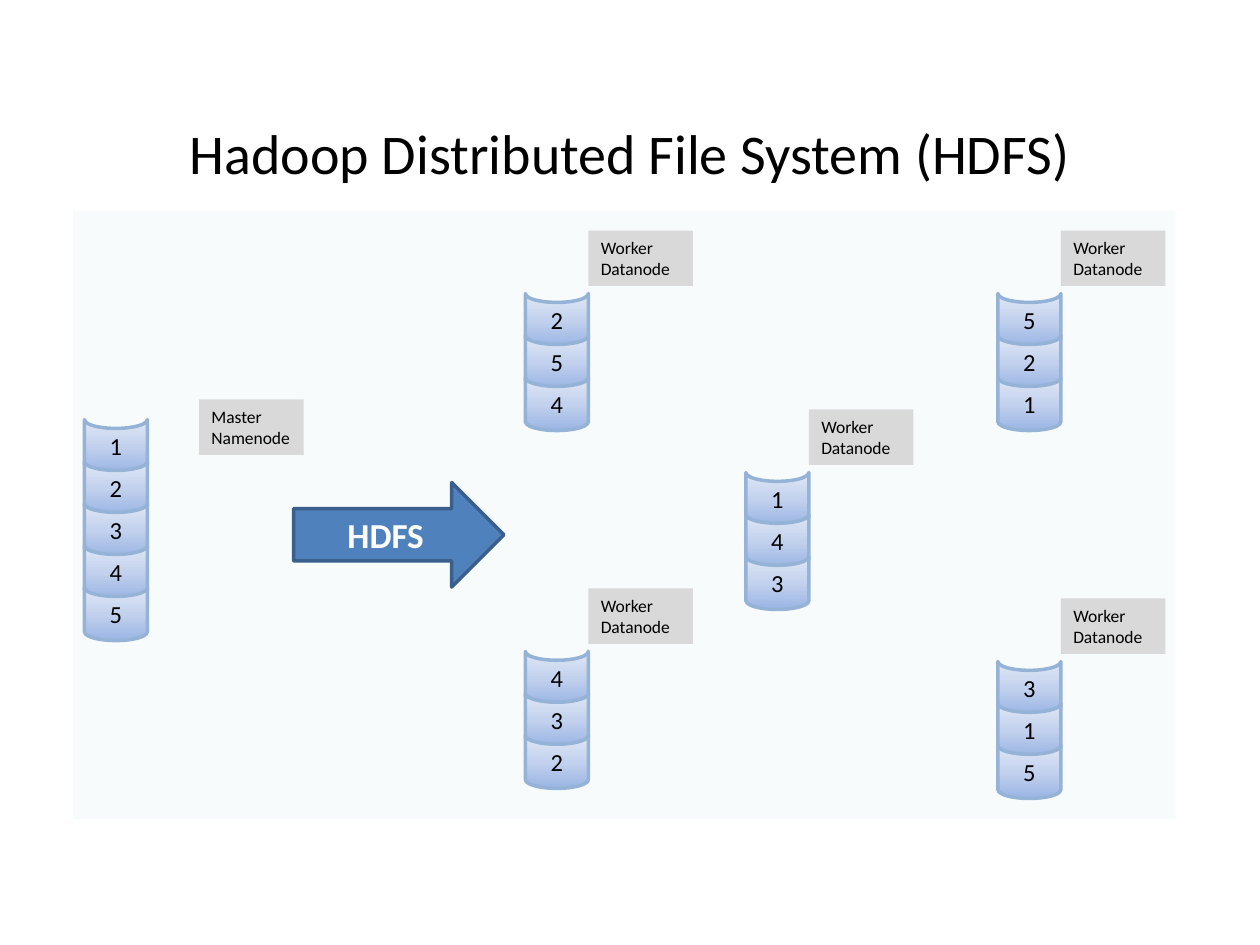
from copy import deepcopy

from pptx import Presentation
from pptx.dml.color import RGBColor
from pptx.enum.shapes import MSO_SHAPE
from pptx.enum.text import MSO_ANCHOR, MSO_AUTO_SIZE, PP_ALIGN
from pptx.oxml.ns import qn
from pptx.util import Inches, Pt
from lxml.etree import SubElement

# Content: left and top of each stack's first block, and the block numbers
TITLE = "Hadoop Distributed File System (HDFS)"
FLOW = "HDFS"
MASTER = (0.71, 3.29, "12345")
MASTER_TAG = "Master\nNamenode"
WORKERS = [
    (4.21, 2.29, "254"),
    (7.96, 2.29, "521"),
    (7.96, 5.21, "315"),
    (4.21, 5.13, "432"),
    (5.96, 3.71, "143"),
]
WORKER_TAG = "Worker\nDatanode"

# Sizes and offsets in inches
BLOCK = (0.42, 0.5)
PITCH = 1 / 3
TAG = (0.83, 0.44)
MASTER_GAP = (0.87, -0.12)
WORKER_GAP = (0.46, -0.46)

THEME = {
    "font": "Calibri",
    "ink": "000000",
    "light": "FFFFFF",
    "panel": "DBEEF4",
    "tag": "D9D9D9",
    "arrow": "4F81BD",
    "edge": "3A5F8C",
    "rim": "95B3D7",
    "shade": ["9AB5E4", "C2D1ED", "E1E8F5"],
    "title": 32,
    "flow": 20,
    "block": 14,
    "note": 10,
    "line": 2,
}


def tint(name):
    return RGBColor.from_string(THEME.get(name, name))


def write(shape, text, size, ink="ink", align=PP_ALIGN.CENTER, bold=False):
    frame = shape.text_frame
    frame.text = text
    for para in frame.paragraphs:
        para.alignment = align
        for run in para.runs:
            font = run.font
            font.name, font.size, font.bold = THEME["font"], Pt(THEME[size]), bold
            font.color.rgb = tint(ink)


def draw(kind, left, top, wide, high, fill=None, line=None):
    shape = slide.shapes.add_shape(
        kind, Inches(left), Inches(top), Inches(wide), Inches(high))
    shape.shadow.inherit = False
    if fill:
        shape.fill.solid()
        shape.fill.fore_color.rgb = tint(fill)
    if line:
        shape.line.color.rgb = tint(line)
        shape.line.width = Pt(THEME["line"])
    else:
        shape.line.fill.background()
    return shape


def shade(shape):
    fill = shape.fill
    fill.gradient()
    fill.gradient_angle = 0
    first = shape._element.spPr.find(".//" + qn("a:gs"))
    first.addnext(deepcopy(first))
    for stop, pos, color in zip(fill.gradient_stops, (0, 0.5, 1), THEME["shade"]):
        stop.position = pos
        stop.color.rgb = tint(color)


def stack(left, top, nums):
    for row, num in enumerate(nums):
        block = draw(MSO_SHAPE.FLOWCHART_STORED_DATA,
                     left, top + row * PITCH, *BLOCK, line="rim")
        block.rotation = 270
        shade(block)
        write(block, num, "block")
        body = block.text_frame
        body.vertical_anchor = MSO_ANCHOR.MIDDLE
        body._txBody.bodyPr.set("vert", "vert")


def label(spot, gap, text):
    tag = draw(MSO_SHAPE.RECTANGLE, spot[0] + gap[0], spot[1] + gap[1], *TAG, fill="tag")
    write(tag, text, "note", align=PP_ALIGN.LEFT)
    tag.text_frame.vertical_anchor = MSO_ANCHOR.TOP
    tag.text_frame.word_wrap = True
    tag.text_frame.auto_size = MSO_AUTO_SIZE.SHAPE_TO_FIT_TEXT


deck = Presentation()
deck.slide_width, deck.slide_height = Inches(10), Inches(7.5)
slide = deck.slides.add_slide(deck.slide_layouts[5])

# Title
title = slide.shapes.title
title.left, title.top = Inches(0.5), Inches(0.58)
title.width, title.height = Inches(9), Inches(1.25)
write(title, TITLE, "title")
title.text_frame.vertical_anchor = MSO_ANCHOR.MIDDLE

# Pale panel, 20 % opaque
panel = draw(MSO_SHAPE.RECTANGLE, 0.58, 1.67, 8.75, 4.83, fill="panel")
color = panel._element.spPr.find(".//" + qn("a:srgbClr"))
SubElement(color, qn("a:alpha")).set("val", "20000")

# Block stacks
for spot in [MASTER, *WORKERS]:
    stack(*spot)

# Flow arrow
arrow = draw(MSO_SHAPE.RIGHT_ARROW, 2.33, 3.83, 1.67, 0.83, fill="arrow", line="edge")
write(arrow, FLOW, "flow", ink="light", bold=True)
arrow.text_frame.vertical_anchor = MSO_ANCHOR.MIDDLE

# Node labels
label(MASTER, MASTER_GAP, MASTER_TAG)
for spot in WORKERS:
    label(spot, WORKER_GAP, WORKER_TAG)

deck.save("out.pptx")
